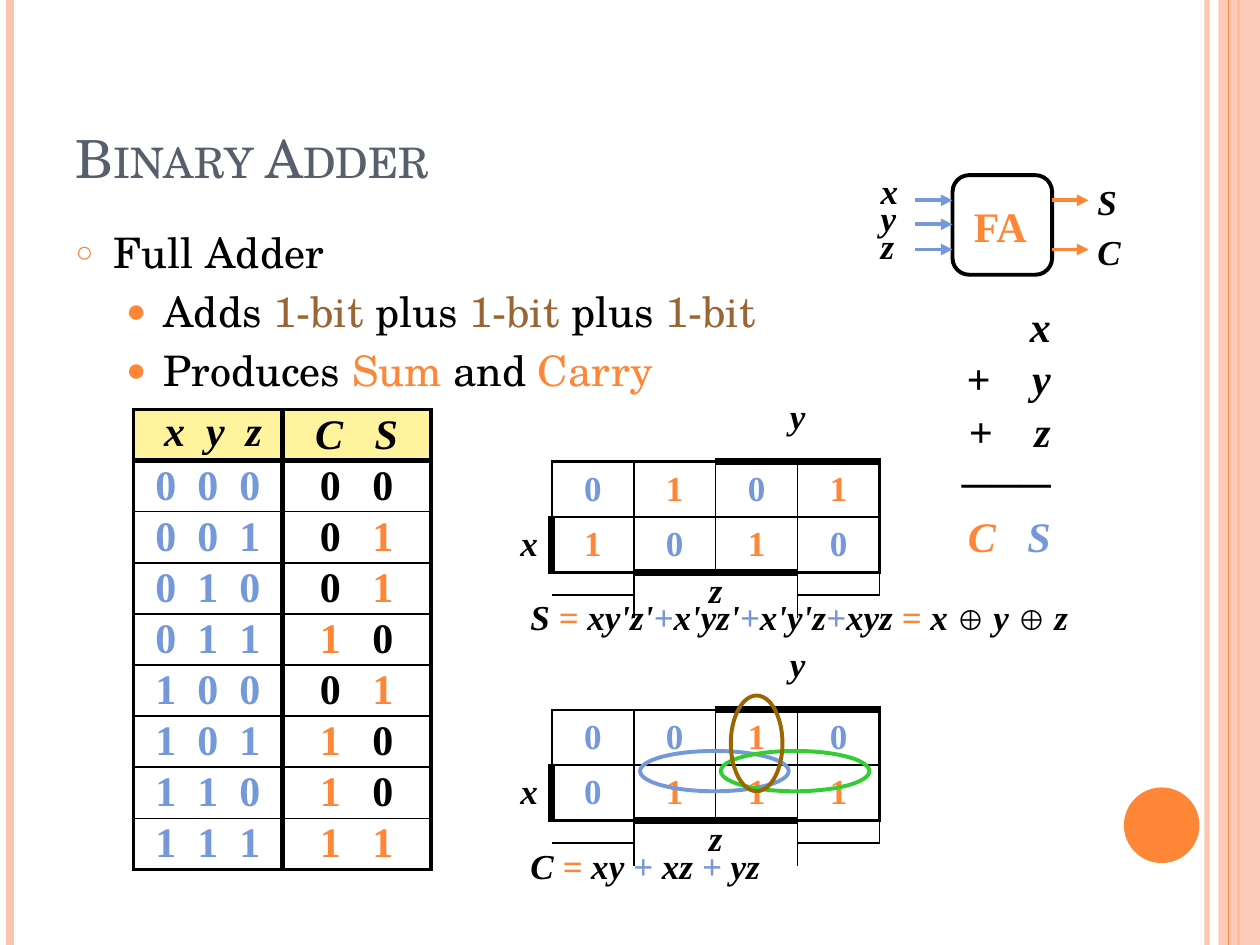
from itertools import groupby, product

from lxml.etree import SubElement
from pptx import Presentation
from pptx.dml.color import RGBColor
from pptx.enum.shapes import MSO_CONNECTOR, MSO_SHAPE as Preset
from pptx.enum.text import MSO_ANCHOR as Anchor, MSO_AUTO_SIZE as AutoSize, PP_ALIGN as Align
from pptx.oxml.ns import qn
from pptx.util import Inches, Pt

BLACK, ORANGE, BLUE, PINK = "000000", "FE8637", "7598D9", "FEC3AE"
BROWN, GREEN, OCHRE = "996633", "33CC33", "996600"
SLATE, YELLOW = "575F6D", "FFF39D"
NO_GRID_STYLE = "{2D5ABB26-0587-4C30-8999-92F81FD0307C}"
HEADING = {"name": "TeX Gyre Schola", "bold": False}
MATH = {"name": "Times New Roman", "bold": True, "italic": True}
DIGIT = {**MATH, "italic": False}


def rgb(value):
    return RGBColor.from_string(value)


def add_runs(paragraph, runs, font, size):
    """Add (text, colour) or (text, colour, font changes) runs."""
    for text, color, *changes in runs:
        run = paragraph.add_run()
        run.text = text
        run.font.color.rgb = rgb(color)
        for name, value in {"size": Pt(size), **font, **(changes[0] if changes else {})}.items():
            setattr(run.font, name, value)


def clear_margins(holder):
    for side in ("left", "right", "top", "bottom"):
        setattr(holder, f"margin_{side}", 0)


def add_text(shapes, box, lines, size, font=MATH, wrap=True, **layout):
    frame = shapes.add_textbox(*map(Inches, box)).text_frame
    clear_margins(frame)
    frame.word_wrap = wrap
    for index, runs in enumerate(lines):
        paragraph = frame.add_paragraph() if index else frame.paragraphs[0]
        for name, value in layout.items():
            setattr(paragraph, name, value)
        add_runs(paragraph, runs, font, size)


def set_alpha(element, percent):
    SubElement(element.find(".//" + qn("a:srgbClr")), qn("a:alpha"), val=str(percent * 1000))


def add_line(shapes, start, end, color, width, arrow=False):
    line = shapes.add_connector(MSO_CONNECTOR.STRAIGHT, *map(Inches, start + end))
    line.line.color.rgb = rgb(color)
    line.line.width = Pt(width)
    properties = line._element.spPr
    if arrow:
        SubElement(properties.find(qn("a:ln")), qn("a:tailEnd"), type="triangle")
    SubElement(properties, qn("a:effectLst"))
    return line


def add_preset(shapes, preset, box, fill=None, outline=None):
    shape = shapes.add_shape(preset, *map(Inches, box))
    shape.shadow.inherit = False
    if fill:
        shape.fill.solid()
        shape.fill.fore_color.rgb = rgb(fill)
    else:
        shape.fill.background()
    if outline:
        shape.line.color.rgb = rgb(outline)
        shape.line.width = Pt(2.25)
    else:
        shape.line.fill.background()
    return shape


def add_grid(shapes, left, top, widths, heights):
    frame = shapes.add_table(len(heights), len(widths), Inches(left), Inches(top),
                             Inches(sum(widths)), Inches(sum(heights)))
    table = frame.table
    table.first_row = table.horz_banding = False
    table._tbl.tblPr.find(qn("a:tableStyleId")).text = NO_GRID_STYLE
    for column, width in zip(table.columns, widths):
        column.width = Inches(width)
    for row, height in zip(table.rows, heights):
        row.height = Inches(height)
    for cell in table.iter_cells():
        clear_margins(cell)
        cell.text_frame.paragraphs[0]._p.get_or_add_endParaRPr().set("sz", "600")
    return table


def fill_cell(cell, runs=(), font=MATH, size=20, fill=None, anchor=Anchor.MIDDLE, **borders):
    """Write runs into a cell; borders are widths in points named L, R, T and B."""
    properties = cell._tc.get_or_add_tcPr()
    for side in "LRTB":
        if side in borders:
            line = SubElement(properties, qn(f"a:ln{side}"), w=str(Pt(borders[side])))
            SubElement(SubElement(line, qn("a:solidFill")), qn("a:srgbClr"), val=BLACK)
    if fill:
        cell.fill.solid()
        cell.fill.fore_color.rgb = rgb(fill)
    else:
        cell.fill.background()
    cell.vertical_anchor = anchor
    paragraph = cell.text_frame.paragraphs[0]
    paragraph.alignment = Align.CENTER
    add_runs(paragraph, runs, font, size)


def add_truth_table(shapes):
    table = add_grid(shapes, 1.06, 3.25, [1.18] * 2, [3.65 / 9] * 9)
    header = {"size": 24, "fill": YELLOW, "T": 2.25, "B": 3}
    fill_cell(table.cell(0, 0), [(" x  y  z", BLACK)], anchor=Anchor.TOP, L=2.25, R=3, **header)
    fill_cell(table.cell(0, 1), [("C   S", BLACK)], L=3, R=2.25, **header)
    for row, bits in enumerate(product((0, 1), repeat=3), 1):
        carry, total = divmod(sum(bits), 2)
        edges = {"T": 3 if row == 1 else 1, "B": 2.25 if row == 8 else 1}
        inputs = [("  ".join(map(str, bits)), BLUE)]
        outputs = [(text, ORANGE if bit else BLACK)
                   for text, bit in ((f"{carry}   ", carry), (str(total), total))]
        fill_cell(table.cell(row, 0), inputs, DIGIT, 24, L=2.25, R=3, **edges)
        fill_cell(table.cell(row, 1), outputs, DIGIT, 24, L=3, R=2.25, **edges)


def add_karnaugh_map(shapes, top, values, zero_color=BLUE):
    """Draw a 2 by 4 map; thick edges mark where x, y and z are 1."""
    table = add_grid(shapes, 4.02, top, [0.18] * 2 + [0.65] * 4,
                     [0.17, 0.32, 0.44, 0.44, 0.18, 0.18])
    for first, last in (((0, 0), (1, 1)), ((0, 2), (1, 2)), ((0, 4), (1, 5)),
                        ((3, 0), (3, 1)), ((4, 0), (5, 1)), ((4, 3), (5, 4))):
        table.cell(*first).merge(table.cell(*last))
    labels = {
        (0, 2): ("", {"B": 1.5}), (1, 3): ("", {"B": 1.5}),
        (0, 4): ("y", {"B": 4.5, "anchor": Anchor.TOP}),
        (2, 1): ("", {"R": 1.5}), (3, 0): ("x", {"R": 4.5}),
        (4, 2): ("", {"T": 1.5, "R": 1}),
        (4, 3): ("z", {"L": 1, "T": 4.5, "R": 1, "anchor": Anchor.TOP}),
        (4, 5): ("", {"L": 1, "T": 1.5}),
    }
    for place, (text, settings) in labels.items():
        fill_cell(table.cell(*place), [(text, BLACK)] if text else (), **settings)
    for x, line in enumerate(values):
        for column, value in enumerate(line):
            edges = {
                "L": 1 if column else (4.5 if x else 1.5),
                "R": 1.5 if column == 3 else 1,
                "T": 1 if x else (4.5 if column > 1 else 1.5),
                "B": (4.5 if column in (1, 2) else 1.5) if x else 1,
            }
            color = ORANGE if value == "1" else zero_color
            fill_cell(table.cell(2 + x, 2 + column), [(value, color)], DIGIT, **edges)


def formula_runs(text):
    """Colour the signs of a formula and set the circled plus smaller and upright."""
    styles = {"=": (ORANGE,), "+": (BLUE,), "⊕": (BLACK, {"size": Pt(16), "italic": False})}
    return [("".join(part), *style)
            for style, part in groupby(text, lambda sign: styles.get(sign, (BLACK,)))]


def add_adder_block(shapes):
    block = shapes.add_group_shape().shapes
    add_preset(block, Preset.ROUNDED_RECTANGLE, (7.56, 1.39, 0.79, 0.79), outline=BLACK)
    for y in (1.59, 1.78, 1.98):
        add_line(block, (7.26, y), (7.56, y), BLUE, 2.25, arrow=True)
    for y in (1.59, 1.98):
        add_line(block, (8.35, y), (8.64, y), ORANGE, 2.25, arrow=True)
    add_text(block, (7.73, 1.59, 0.44, 0.36), [[("FA", ORANGE)]], 24, DIGIT, wrap=False)
    add_text(block, (6.99, 1.45, 0.2, 0.65), [[(name, BLACK)] for name in "xyz"], 20,
             line_spacing=0.65)
    add_text(block, (8.71, 1.43, 0.2, 0.68), [[(name, BLACK)] for name in "SC"], 20,
             space_before=Pt(5))


def add_side_bands(shapes):
    set_alpha(add_line(shapes, (9.58, 0), (9.58, 7.5), PINK, 3)._element, 93)
    for x, color, width in ((0.08, PINK, 4.5), (9.83, ORANGE, 1.5)):
        add_line(shapes, (x, 0), (x, 7.5), color, width)
    set_alpha(add_preset(shapes, Preset.RECTANGLE, (9.67, 0, 0.33, 7.5), PINK)._element, 87)
    add_line(shapes, (9.75, 0), (9.75, 7.5), ORANGE, 0.75)
    add_preset(shapes, Preset.OVAL, (8.92, 6.25, 0.6, 0.6), ORANGE)


def place(holder, box, anchor):
    holder.left, holder.top, holder.width, holder.height = map(Inches, box)
    holder.text_frame.auto_size = AutoSize.NONE
    holder.text_frame.vertical_anchor = anchor
    return holder.text_frame


def write_title(holder):
    paragraph = place(holder, (0.5, 0.3, 8.42, 1.25), Anchor.BOTTOM).paragraphs[0]
    paragraph.alignment = Align.LEFT
    add_runs(paragraph, [("Binary Adder", SLATE)], HEADING, 30)
    paragraph.runs[0].font._element.set("cap", "small")


def write_body(holder):
    frame = place(holder, (0.5, 1.75, 8.42, 5.33), Anchor.TOP)
    points = [
        (0, 6, 0.3, "○", 70, [("Full Adder", BLACK)]),
        (1, 4.8, 0.7, "●", 80, [("Adds ", BLACK), ("1-bit", BROWN), (" plus ", BLACK),
                                ("1-bit ", BROWN), ("plus ", BLACK), ("1-bit", BROWN)]),
        (1, 4.8, 0.7, "●", 80, [("Produces ", BLACK), ("Sum", ORANGE), (" and ", BLACK),
                                ("Carry", ORANGE)]),
    ]
    for index, (level, space, indent, bullet, percent, runs) in enumerate(points):
        paragraph = frame.add_paragraph() if index else frame.paragraphs[0]
        paragraph.level, paragraph.space_before = level, Pt(space)
        properties = paragraph._p.get_or_add_pPr()
        properties.set("marL", str(Inches(indent)))
        properties.set("indent", str(Inches(-0.3)))
        SubElement(SubElement(properties, qn("a:buClr")), qn("a:srgbClr"), val=ORANGE)
        SubElement(properties, qn("a:buSzPct"), val=str(percent * 1000))
        SubElement(properties, qn("a:buChar"), char=bullet)
        add_runs(paragraph, runs, HEADING, 24)


def main():
    deck = Presentation()
    deck.slide_width, deck.slide_height = Inches(10), Inches(7.5)
    slide = deck.slides.add_slide(deck.slide_layouts[1])
    shapes = slide.shapes
    write_title(shapes.title)
    write_body(slide.placeholders[1])
    add_side_bands(shapes)
    add_truth_table(shapes)
    addition = [[(text, BLACK)] for text in ("x", "+    y", "+    z", "───")]
    addition.append([("C   ", ORANGE), ("S", BLUE)])
    add_text(shapes, (7.36, 2.37, 0.98, 1.8), addition, 24, alignment=Align.RIGHT,
             line_spacing=1.04)
    add_adder_block(shapes)
    add_karnaugh_map(shapes, 3.16, ("0101", "1010"))
    add_karnaugh_map(shapes, 5.13, ("0010", "0111"))
    for box, color in (((5.08, 5.96, 1.18, 0.32), BLUE), ((5.72, 5.96, 1.18, 0.32), GREEN),
                       ((5.8, 5.52, 0.41, 0.76), OCHRE)):
        add_preset(shapes, Preset.OVAL, box, outline=color)
    for top, width, formula in ((4.73, 4.33, "S = xy'z'+x'yz'+x'y'z+xyz = x ⊕ y ⊕ z"),
                                (6.7, 1.97, "C = xy + xz + yz")):
        add_text(shapes, (4.21, top, width, 0.33), [formula_runs(formula)], 20)
    deck.save("out.pptx")


if __name__ == "__main__":
    main()
